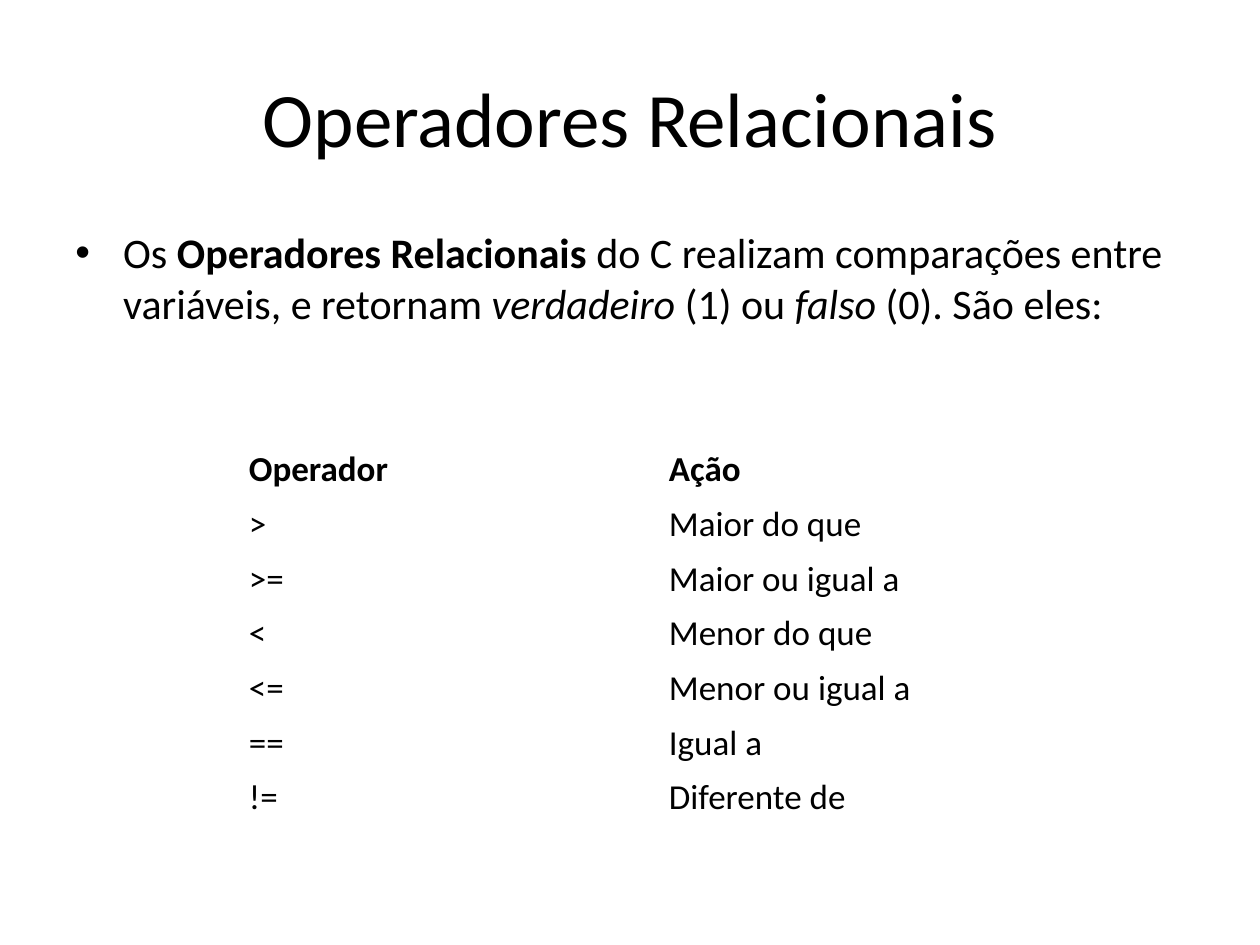
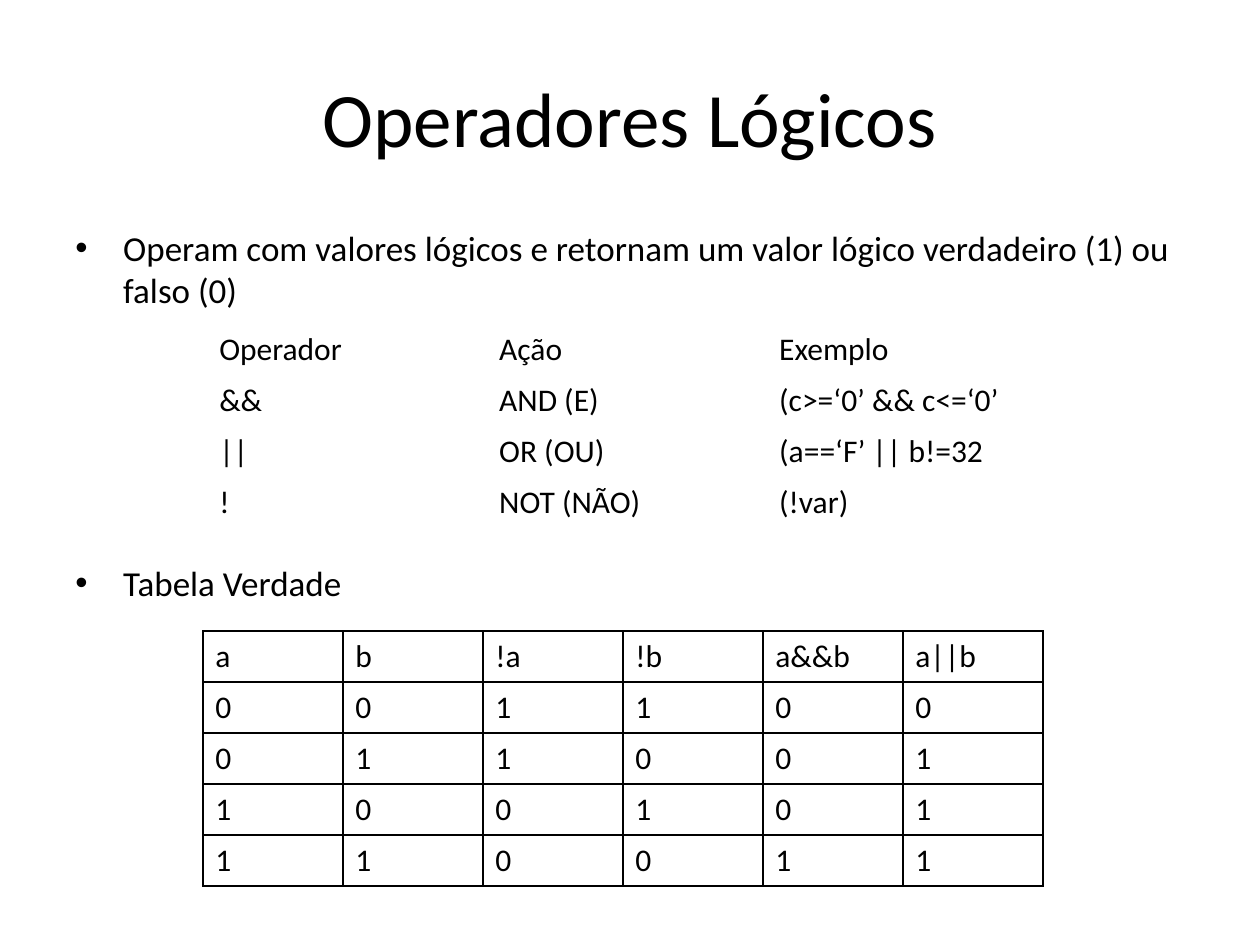
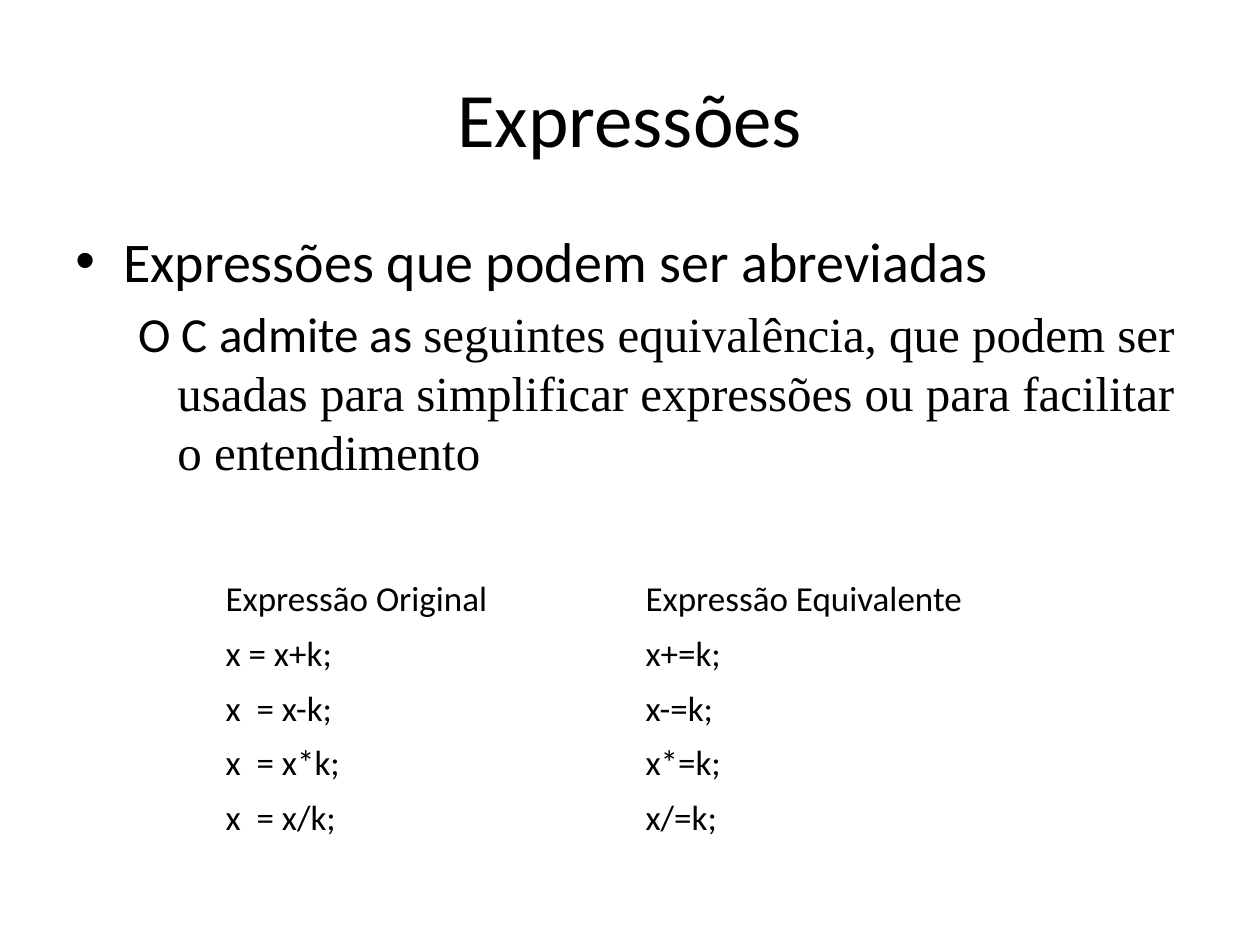
from pptx import Presentation
from pptx.dml.color import RGBColor
from pptx.enum.text import MSO_ANCHOR as Anchor, PP_ALIGN as Align
from pptx.oxml.ns import qn
from pptx.util import Inches, Pt
from lxml.etree import SubElement

COLORS = {"text": "000000", "border": "000000", "background": "FFFFFF"}
FONT, SERIF = "Calibri", "Times New Roman"
GRID_COLUMNS, GRID_ROWS = 40, 30
PLAIN_TABLE_STYLE = "{2D5ABB26-0587-4C30-8999-92F81FD0307C}"
TABLE_WIDTH, TABLE_ROW = 80 / 3, 1.62
BOLD, ITALIC = {"bold": True}, {"italic": True}


def apply(target, values):
    for name, value in values.items():
        setattr(target, name, value)


class Deck:
    """Holds the shared style and the slide being filled."""

    def __init__(self):
        self.presentation = Presentation()
        apply(self.presentation, {"slide_width": Inches(10), "slide_height": Inches(7.5)})
        self.column = self.presentation.slide_width / GRID_COLUMNS
        self.row = self.presentation.slide_height / GRID_ROWS
        self.slide = None

    def box(self, left, top, width, height):
        return [round(n * unit) for n, unit in
                zip((left, top, width, height), (self.column, self.row) * 2)]

    def new_slide(self, title):
        self.slide = self.presentation.slides.add_slide(self.presentation.slide_layouts[6])
        fill = self.slide.background.fill
        fill.solid()
        fill.fore_color.rgb = RGBColor.from_string(COLORS["background"])
        frame = self.text_frame(1.2, 5, Anchor.MIDDLE)
        frame.paragraphs[0].alignment = Align.CENTER
        self.add_runs(frame.paragraphs[0], [title], 44)

    def text_frame(self, top, height, anchor):
        frame = self.slide.shapes.add_textbox(*self.box(2, top, 36, height)).text_frame
        apply(frame, {"word_wrap": True, "vertical_anchor": anchor})
        return frame

    def add_runs(self, paragraph, runs, size):
        """Each run is a string or a (string, font values) pair."""
        for item in runs:
            text, values = (item, {}) if isinstance(item, str) else item
            run = paragraph.add_run()
            run.text = text
            apply(run.font, {"size": Pt(size), "name": FONT, **values})
            run.font.color.rgb = RGBColor.from_string(COLORS["text"])

    def body(self, *items):
        """Each item is a dict with runs and size, and optionally bullet and before."""
        frame = self.text_frame(7, 19.8, Anchor.TOP)
        for index, item in enumerate(items):
            paragraph = frame.add_paragraph() if index else frame.paragraphs[0]
            size, bullet = item["size"], item.get("bullet", True)
            paragraph.space_before = Pt(item.get("before", size * 0.2))
            margin, hanging = (0.38, 0.38) if bullet else (0.81, 0.31)
            properties = paragraph._p.get_or_add_pPr()
            properties.set("marL", str(Inches(margin)))
            properties.set("indent", str(-Inches(hanging)))
            if bullet:
                SubElement(properties, qn("a:buFont"), typeface="Arial")
                SubElement(properties, qn("a:buChar"), char="•")
            else:
                SubElement(properties, qn("a:buNone"))
            self.add_runs(paragraph, item["runs"], size)

    def table(self, left, top, rows, size, bordered=False, header=None):
        area = self.box(left, top, TABLE_WIDTH, TABLE_ROW * len(rows))
        table = self.slide.shapes.add_table(len(rows), len(rows[0]), *area).table
        apply(table, {"first_row": False, "horz_banding": False})
        table._tbl.tblPr.find(qn("a:tableStyleId")).text = PLAIN_TABLE_STYLE
        for r, row in enumerate(rows):
            for c, text in enumerate(row):
                cell = table.cell(r, c)
                if bordered:
                    self.border(cell)
                cell.fill.background()
                values = (header or {}) if r == 0 else {}
                self.add_runs(cell.text_frame.paragraphs[0], [(text, values)], size)

    def border(self, cell):
        properties = cell._tc.get_or_add_tcPr()
        for side in ("lnL", "lnR", "lnT", "lnB"):
            line = SubElement(properties, qn(f"a:{side}"), w=str(Pt(1)))
            SubElement(SubElement(line, qn("a:solidFill")), qn("a:srgbClr"), val=COLORS["border"])


def main():
    deck = Deck()

    # Relational operators
    deck.new_slide("Operadores Relacionais")
    deck.body({"size": 24, "runs": [
        "Os ", ("Operadores Relacionais ", BOLD),
        "do C realizam comparações entre variáveis, e retornam ",
        ("verdadeiro", ITALIC), " (1) ou ", ("falso ", ITALIC), "(0). São eles:"]})
    deck.table(7.5, 14.04, [
        ("Operador", "Ação"),
        (">", "Maior do que"),
        (">=", "Maior ou igual a"),
        ("<", "Menor do que"),
        ("<=", "Menor ou igual a"),
        ("==", "Igual a"),
        ("!=", "Diferente de")], 20, header=BOLD)

    # Logical operators and truth table
    deck.new_slide("Operadores Lógicos")
    deck.body(
        {"size": 20, "runs": ["Operam com valores lógicos e retornam um valor lógico "
                              "verdadeiro (1) ou falso (0)"]},
        {"size": 20, "runs": ["Tabela Verdade"], "before": 143})
    deck.table(6.56, 10.28, [
        ("Operador", "Ação", "Exemplo"),
        ("&&", "AND (E)", "(c>=‘0’ && c<=‘0’"),
        ("||", "OR (OU)", "(a==‘F’ || b!=32"),
        ("!", "NOT (NÃO)", "(!var)")], 18)
    truth = [[str(int(value)) for value in (a, b, not a, not b, a and b, a or b)]
             for a in (0, 1) for b in (0, 1)]
    deck.table(6.44, 20.04, [("a", "b", "!a", "!b", "a&&b", "a||b"), *truth], 18, bordered=True)

    # Abbreviated expressions
    deck.new_slide("Expressões")
    deck.body(
        {"size": 32, "runs": ["Expressões que podem ser abreviadas"]},
        {"size": 28, "bullet": False, "runs": [
            "O C admite as ",
            ("seguintes equivalência, que podem ser usadas para simplificar expressões "
             "ou para facilitar o entendimento", {"name": SERIF})]})
    deck.table(6.76, 18.16, [
        ("Expressão Original", "Expressão Equivalente"),
        ("x = x+k;", "x+=k;"),
        *[(f"x  = x{sign}k;", f"x{sign}=k;") for sign in "-*/"]], 20)

    deck.presentation.save("out.pptx")


if __name__ == "__main__":
    main()
